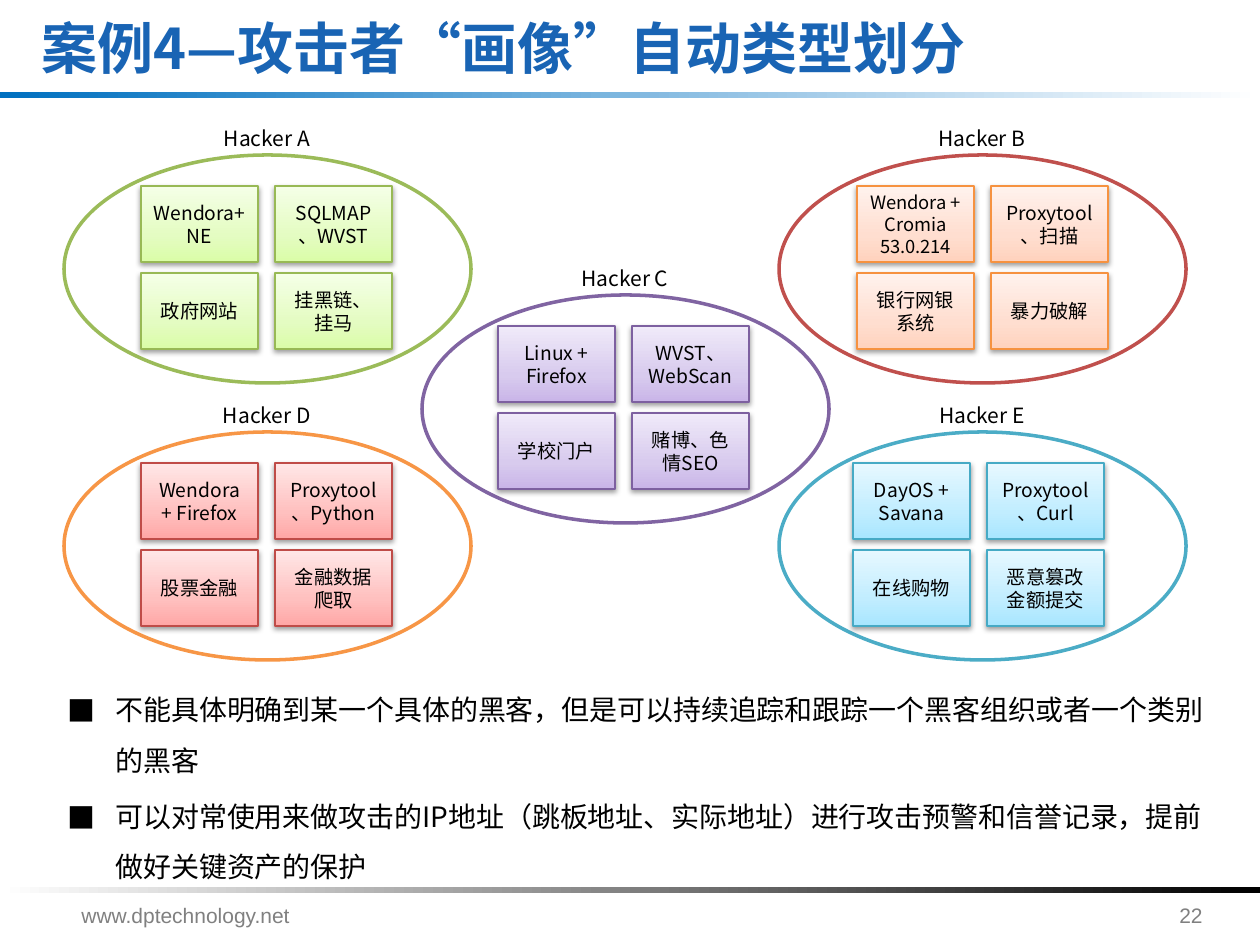
import pptx
import pptx.dml.color
import pptx.enum.shapes
import pptx.enum.text
import pptx.oxml
import pptx.oxml.ns
import pptx.util

EMU_PER_PX = 914400 / 126
CJK = "Noto Sans CJK SC"
NS = 'xmlns:a="http://schemas.openxmlformats.org/drawingml/2006/main"'
SHAPE = pptx.enum.shapes.MSO_SHAPE
ALIGN = pptx.enum.text.PP_ALIGN
ANCHOR = pptx.enum.text.MSO_ANCHOR

OVAL_W, OVAL_H = 407, 228
CELL_W, CELL_H = 117, 76
PITCH_X, PITCH_Y = 134, 87

# name, oval left and top, left of cells, oval line, cell line, gradient, size of first cell, texts
HACKERS = [
    ("Hacker A", 64, 155, 141, "9BBB59", "98B955", ("DAFDA7", "E4FCC2", "F5FFE7"), 11,
     ("Wendora+NE", "SQLMAP、WVST", "政府网站", "挂黑链、挂马")),
    ("Hacker B", 779, 155, 857, "C0504D", "F69240", ("FFD2BD", "FFDED0", "FFF2ED"), 10.5,
     ("Wendora + Cromia 53.0.214", "Proxytool、扫描", "银行网银系统", "暴力破解")),
    ("Hacker C", 422, 295, 498, "8064A2", "7D60A0", ("C9B5E8", "D8CBEE", "F0EAF9"), 11,
     ("Linux + Firefox", "WVST、WebScan", "学校门户", "赌博、色情SEO")),
    ("Hacker D", 64, 432, 141, "F79646", "BF4C48", ("FFA6A5", "FFC0BF", "FFE7E7"), 11,
     ("Wendora + Firefox", "Proxytool、Python", "股票金融", "金融数据爬取")),
    ("Hacker E", 779, 432, 853, "4BACC6", "46AAC5", ("A7E6FF", "C1EDFF", "E7F8FF"), 11,
     ("DayOS + Savana", "Proxytool、Curl", "在线购物", "恶意篡改金额提交")),
]
POINTS = [
    "不能具体明确到某一个具体的黑客，但是可以持续追踪和跟踪一个黑客组织或者一个类别的黑客",
    "可以对常使用来做攻击的IP地址（跳板地址、实际地址）进行攻击预警和信誉记录，提前做好关键资产的保护",
]


def px(n):
    return pptx.util.Emu(round(n * EMU_PER_PX))


def rgb(value):
    return pptx.dml.color.RGBColor.from_string(value)


def write(p, text, size=11, color="000000", font=CJK, bold=False, align=None):
    p.alignment = align
    r = p.add_run()
    r.text = text
    r.font.size = pptx.util.Pt(size)
    r.font.bold = bold
    r.font.color.rgb = rgb(color)
    r.font.name = font
    ea = pptx.oxml.parse_xml(f'<a:ea {NS} typeface="{font}"/>')
    r.font._element.find(pptx.oxml.ns.qn("a:latin")).addnext(ea)


def add_text(s, box, text, wrap=True, anchor=ANCHOR.TOP, **fmt):
    tf = s.shapes.add_textbox(*map(px, box)).text_frame
    tf.word_wrap = wrap
    tf.vertical_anchor = anchor
    write(tf.paragraphs[0], text, **fmt)


def add_shape(s, kind, box, line=None, width=1):
    sp = s.shapes.add_shape(kind, *map(px, box))
    sp.shadow.inherit = False
    if line:
        sp.line.color.rgb = rgb(line)
        sp.line.width = pptx.util.Pt(width)
    else:
        sp.line.fill.background()
    return sp


def set_gradient(sp, stops, angle):
    sp.fill.gradient()
    sp.fill.gradient_angle = angle
    gs_list = sp._element.spPr.find(".//" + pptx.oxml.ns.qn("a:gsLst"))
    for gs in list(gs_list):
        gs_list.remove(gs)
    for pos, color in stops:
        gs_list.append(pptx.oxml.parse_xml(
            f'<a:gs {NS} pos="{pos * 1000}"><a:srgbClr val="{color}"/></a:gs>'))


def add_bar(s, top, color, rotation=0):
    sp = add_shape(s, SHAPE.RECTANGLE, (0, top, 1260, 6))
    set_gradient(sp, [(0, color), (100, "FFFFFF")], 0)
    sp.rotation = rotation


def add_cell(s, left, top, text, line, colors, size):
    sp = add_shape(s, SHAPE.RECTANGLE, (left, top, CELL_W, CELL_H), line, 0.75)
    set_gradient(sp, zip((0, 35, 100), colors), 90)
    effects = sp._element.spPr.find(pptx.oxml.ns.qn("a:effectLst"))
    effects.append(pptx.oxml.parse_xml(
        f'<a:outerShdw {NS} blurRad="39370" dist="20320" dir="5400000" rotWithShape="0">'
        '<a:srgbClr val="000000"><a:alpha val="38000"/></a:srgbClr></a:outerShdw>'))
    tf = sp.text_frame
    tf.word_wrap = True
    tf.vertical_anchor = ANCHOR.MIDDLE
    write(tf.paragraphs[0], text, size=size, align=ALIGN.CENTER)


def add_hacker(s, name, left, top, cells_left, oval_line, cell_line, colors, first_size, texts):
    oval = add_shape(s, SHAPE.OVAL, (left, top, OVAL_W, OVAL_H), oval_line, 2)
    oval.fill.solid()
    oval.fill.fore_color.rgb = rgb("FFFFFF")
    for i, text in enumerate(texts):
        row, col = divmod(i, 2)
        add_cell(s, cells_left + col * PITCH_X, top + 31 + row * PITCH_Y, text,
                 cell_line, colors, 11 if i else first_size)
    add_text(s, (left + 145, top - 36, 116, 38), name, wrap=False, size=12, align=ALIGN.CENTER)


def add_points(s, box, points):
    tf = s.shapes.add_textbox(*map(px, box)).text_frame
    tf.word_wrap = True
    for i, text in enumerate(points):
        p = tf.add_paragraph() if i else tf.paragraphs[0]
        pPr = p._p.get_or_add_pPr()
        pPr.set("marL", str(px(48)))
        pPr.set("indent", str(-px(48)))
        pPr.append(pptx.oxml.parse_xml(f'<a:buFont {NS} typeface="{CJK}"/>'))
        pPr.append(pptx.oxml.parse_xml(f'<a:buChar {NS} char="■"/>'))
        p.line_spacing = 1.5
        p.space_before = pptx.util.Pt(3.2 if i else 0)
        write(p, text, size=16)


def main():
    prs = pptx.Presentation()
    prs.slide_width, prs.slide_height = px(1260), px(945)
    s = prs.slides.add_slide(prs.slide_layouts[6])

    # Rules and footer
    add_bar(s, 92, "0070C0")
    add_bar(s, 887, "000000", rotation=180)
    footer = dict(size=12, color="808080", font="Arial")
    add_text(s, (1167, 896, 74, 49), "22", **footer)
    add_text(s, (69, 896, 246, 49), "www.dptechnology.net", **footer)

    # Attacker profiles
    for hacker in HACKERS:
        add_hacker(s, *hacker)

    # Conclusions and title
    add_points(s, (55, 670, 1163, 203), POINTS)
    add_text(s, (29, 20, 1037, 55), "案例4—攻击者“画像”自动类型划分", anchor=ANCHOR.MIDDLE,
             size=32, color="1964B4", bold=True)
    prs.save("out.pptx")


if __name__ == "__main__":
    main()
